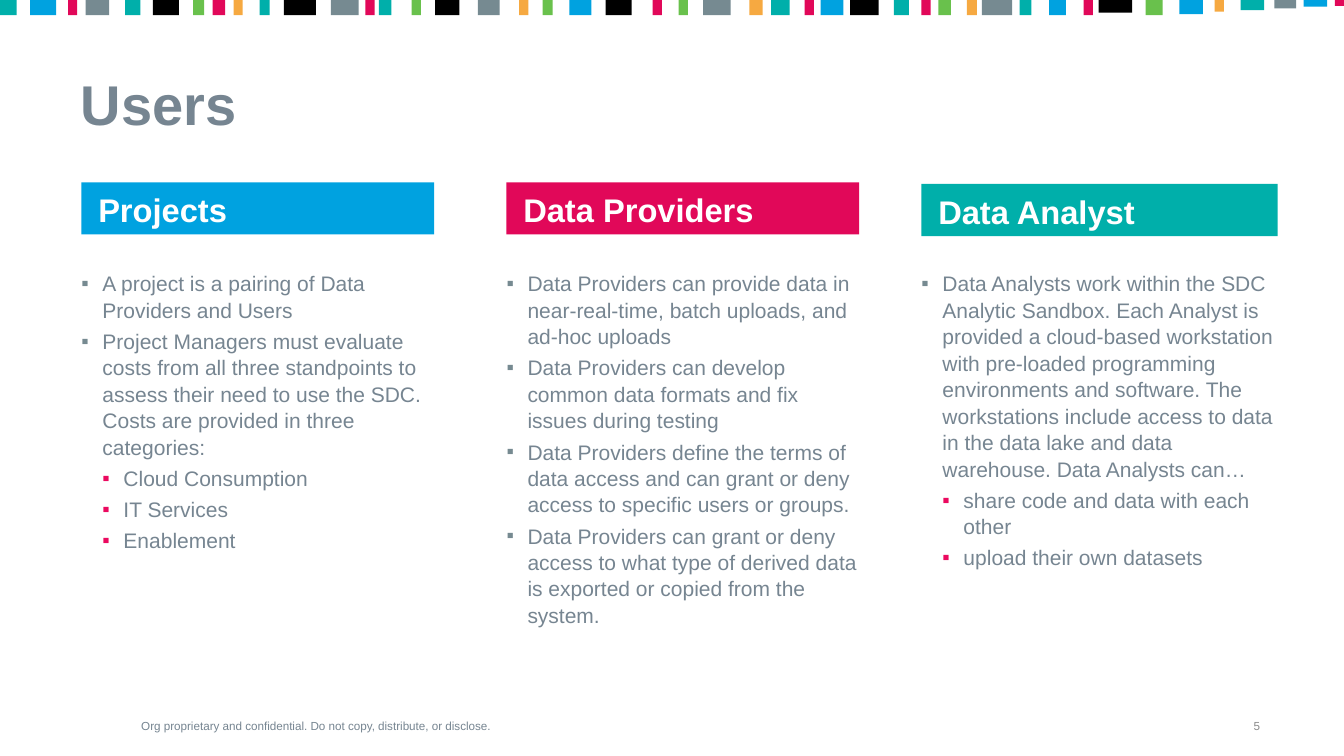
from lxml.etree import SubElement
from pptx import Presentation
from pptx.dml.color import RGBColor
from pptx.enum.shapes import MSO_SHAPE as Preset
from pptx.enum.text import MSO_ANCHOR as Anchor, MSO_AUTO_SIZE as AutoSize, PP_ALIGN as Align
from pptx.oxml.ns import qn
from pptx.util import Inches, Pt

WIDTH, HEIGHT = 16, 9
BLUE = RGBColor(0x00, 0xA2, 0xE0)
PINK = RGBColor(0xE1, 0x08, 0x59)
TEAL = RGBColor(0x00, 0xAF, 0xAA)
GREEN = RGBColor(0x69, 0xC1, 0x4C)
ORANGE = RGBColor(0xF6, 0xA9, 0x41)
BLACK = RGBColor(0x00, 0x00, 0x00)
WHITE = RGBColor(0xFF, 0xFF, 0xFF)
STRIPE_GREY = RGBColor(0x76, 0x8A, 0x91)
TEXT_GREY = RGBColor(0x76, 0x85, 0x91)
NUMBER_GREY = RGBColor(0x8C, 0x8C, 0x8C)
BULLET_PINK = RGBColor(0xEB, 0x09, 0x5F)

INDENT = 0.25
LIST_TOP, LIST_WIDTH, LIST_HEIGHT = 3.16, 4.24, 3.91
BAR_HEIGHT = 0.62
STRIPE_HEIGHT = 0.18
BULLET_COLOURS = (STRIPE_GREY, BULLET_PINK)

STRIPES = {
    TEAL: [(0, 0.2), (1.49, 0.18), (3.09, 0.12), (4.51, 0.15), (9.18, 0.22),
           (10.64, 0.18), (12.14, 0.14), (14.77, 0.28, 0.12)],
    BLUE: [(0.36, 0.31), (6.78, 0.26), (9.77, 0.27), (12.49, 0.2),
           (14.04, 0.28, 0.17), (15.52, 0.28, 0.08)],
    PINK: [(0.81, 0.11), (2.53, 0.15), (4.35, 0.11), (7.77, 0.11), (9.58, 0.11),
           (10.97, 0.11), (12.9, 0.11), (15.89, 0.11, 0.07)],
    STRIPE_GREY: [(1.02, 0.28), (3.94, 0.33), (5.69, 0.26), (8.37, 0.33),
                  (11.69, 0.36), (15.17, 0.26, 0.1)],
    BLACK: [(1.82, 0.31), (3.38, 0.38), (5.18, 0.29), (7.21, 0.31),
            (10.12, 0.34), (13.08, 0.4, 0.15)],
    GREEN: [(2.3, 0.13), (4.9, 0.11), (6.46, 0.12), (8.08, 0.11),
            (11.17, 0.15), (13.64, 0.2)],
    ORANGE: [(2.78, 0.11), (6.18, 0.11), (8.92, 0.16), (11.51, 0.12),
             (14.46, 0.11, 0.14)],
}

COLUMNS = [
    ("Projects", BLUE, 2, (0.97, 2.17, 4.2), [
        (0, "A project is a pairing of Data Providers and Users"),
        (0, "Project Managers must evaluate costs from all three standpoints to assess "
            "their need to use the SDC. Costs are provided in three categories:"),
        (1, "Cloud Consumption"),
        (1, "IT Services"),
        (1, "Enablement"),
    ]),
    ("Data Providers", PINK, 4, (6.03, 2.17, 4.2), [
        (0, "Data Providers can provide data in near-real-time, batch uploads, "
            "and ad-hoc uploads"),
        (0, "Data Providers can develop common data formats and fix issues during testing"),
        (0, "Data Providers define the terms of data access and can grant or deny access "
            "to specific users or groups."),
        (0, "Data Providers can grant or deny access to what type of derived data is "
            "exported or copied from the system."),
    ]),
    ("Data Analyst", TEAL, 1, (10.97, 2.19, 4.24), [
        (0, "Data Analysts work within the SDC Analytic Sandbox. Each Analyst is provided "
            "a cloud-based workstation with pre-loaded programming environments and "
            "software. The workstations include access to data in the data lake and data "
            "warehouse. Data Analysts can…"),
        (1, "share code and data with each other"),
        (1, "upload their own datasets"),
    ]),
]


def apply(target, values):
    """Set each named attribute of the target."""
    for name, value in values.items():
        setattr(target, name, value)


def place(shape, box):
    """Move a shape to a box given in inches."""
    apply(shape, dict(zip(("left", "top", "width", "height"), map(Inches, box))))


def set_frame(shape, anchor, side=0, edge=0.05):
    """Format the text frame of a shape and return it."""
    frame = shape.text_frame
    apply(frame, {
        "word_wrap": True, "auto_size": AutoSize.NONE, "vertical_anchor": anchor,
        "margin_left": Inches(side), "margin_right": Inches(side),
        "margin_top": Inches(edge), "margin_bottom": Inches(edge),
    })
    return frame


def write(paragraph, text, size, colour, bold=False, **layout):
    """Fill a paragraph with formatted text."""
    paragraph.text = text
    apply(paragraph, layout)
    apply(paragraph.font, {"name": "Arial", "size": Pt(size), "bold": bold})
    paragraph.font.color.rgb = colour


def add_bullet(paragraph, level):
    """Give a paragraph a square bullet and a hanging indent."""
    properties = paragraph._p.get_or_add_pPr()
    properties.set("marL", str(Inches(INDENT * (level + 1))))
    properties.set("indent", str(Inches(-INDENT)))
    colour = SubElement(properties, qn("a:buClr"))
    SubElement(colour, qn("a:srgbClr"), val=str(BULLET_COLOURS[level]))
    SubElement(properties, qn("a:buFont"), typeface="Arial")
    SubElement(properties, qn("a:buChar"), char="▪")


def add_bar(slide, box, colour):
    """Add a plain filled rectangle."""
    bar = slide.shapes.add_shape(Preset.RECTANGLE, *map(Inches, box))
    bar.shadow.inherit = False
    bar.fill.solid()
    bar.fill.fore_color.rgb = colour
    bar.line.fill.background()
    return bar


def add_stripes(slide):
    """Draw the coloured band along the top edge."""
    for colour, stripes in STRIPES.items():
        for left, width, *height in stripes:
            add_bar(slide, (left, 0, width, *(height or [STRIPE_HEIGHT])), colour)


def add_title(slide, box, text):
    """Place and format the slide title."""
    title = slide.shapes.title
    place(title, box)
    frame = set_frame(title, Anchor.TOP, 0.1)
    write(frame.paragraphs[0], text, 48, TEXT_GREY, True,
          alignment=Align.LEFT, line_spacing=0.9)


def add_column(slide, heading, colour, body, box, items):
    """Place a heading bar and the bulleted list below it."""
    left, top, width = box
    bar = add_bar(slide, (left, top, width, BAR_HEIGHT), colour)
    frame = set_frame(bar, Anchor.MIDDLE, 0.2)
    write(frame.paragraphs[0], heading, 28, WHITE, True,
          alignment=Align.LEFT, line_spacing=1.05)

    place(body, (left, LIST_TOP, LIST_WIDTH, LIST_HEIGHT))
    frame = set_frame(body, Anchor.TOP)
    for index, (level, text) in enumerate(items):
        paragraph = frame.add_paragraph() if index else frame.paragraphs[0]
        add_bullet(paragraph, level)
        write(paragraph, text, 18, TEXT_GREY, level=level, alignment=Align.LEFT,
              line_spacing=1.05, space_before=Pt(2 if index else 0), space_after=Pt(2))


def add_footer(slide, box, text, colour, alignment):
    """Add one small line at the foot of the slide."""
    footer = slide.shapes.add_textbox(*map(Inches, box))
    frame = set_frame(footer, Anchor.BOTTOM, edge=0)
    write(frame.paragraphs[0], text, 10, colour, alignment=alignment)


def main():
    """Build and save the presentation."""
    presentation = Presentation()
    apply(presentation, {"slide_width": Inches(WIDTH), "slide_height": Inches(HEIGHT)})
    layout = presentation.slide_layouts.get_by_name("Comparison")
    slide = presentation.slides.add_slide(layout)
    bodies = {shape.placeholder_format.idx: shape for shape in slide.placeholders}

    add_stripes(slide)
    add_title(slide, (0.86, 0.87, 14.2, 1.2), "Users")
    for heading, colour, body_index, box, items in COLUMNS:
        add_column(slide, heading, colour, bodies.pop(body_index), box, items)
    unused = bodies[3].element
    unused.getparent().remove(unused)
    add_footer(slide, (1.27, 8.34, 4.98, 0.39),
               "Org proprietary and confidential. Do not copy, distribute, or disclose.",
               TEXT_GREY, Align.CENTER)
    add_footer(slide, (14.04, 8.34, 0.96, 0.39), "5", NUMBER_GREY, Align.RIGHT)
    presentation.save("out.pptx")


if __name__ == "__main__":
    main()
